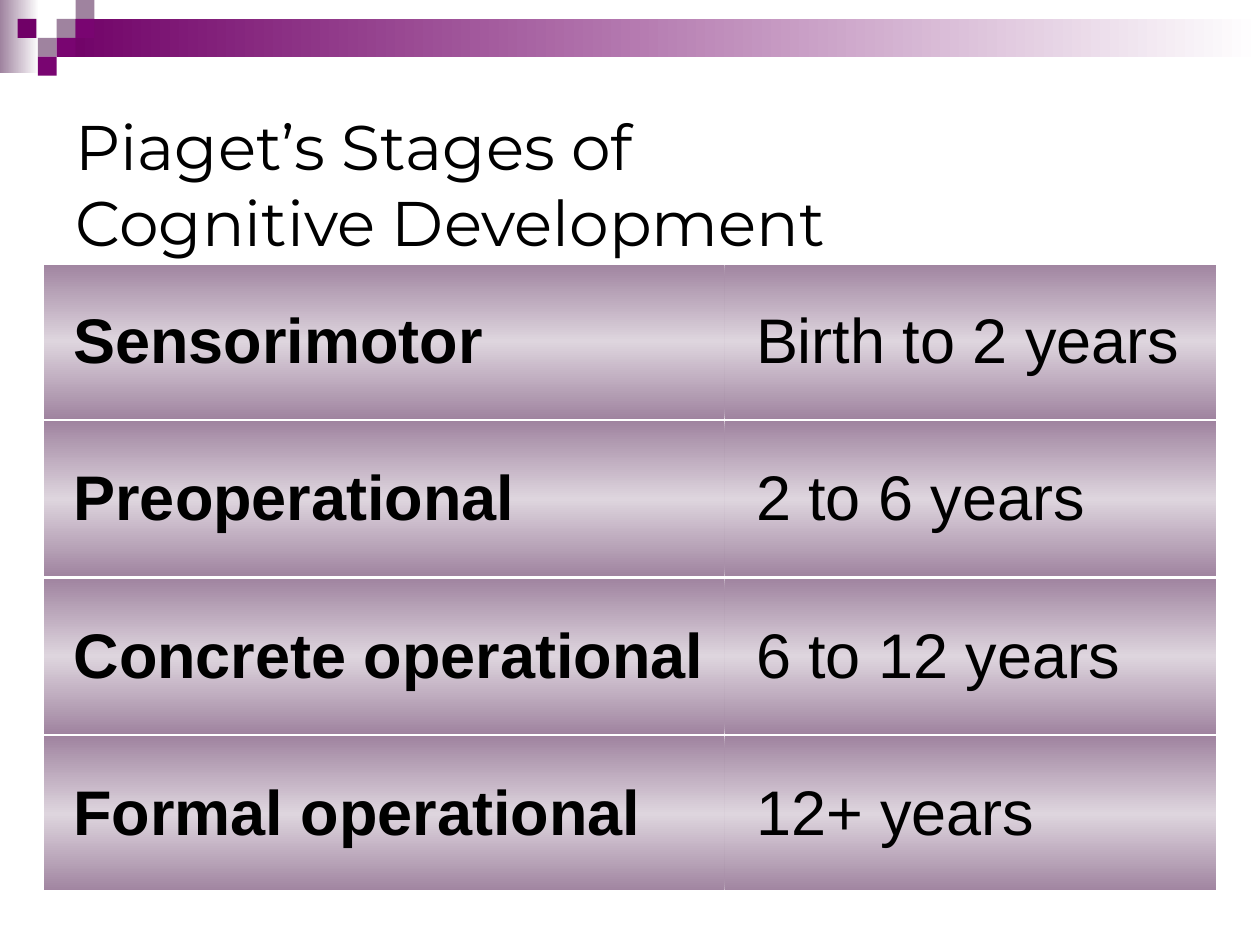
from lxml.etree import SubElement
from pptx import Presentation
from pptx.dml.color import RGBColor
from pptx.enum.shapes import MSO_SHAPE
from pptx.enum.text import MSO_ANCHOR, MSO_AUTO_SIZE, PP_ALIGN
from pptx.oxml.ns import qn
from pptx.util import Pt

TITLE = ["Piaget’s Stages of ", "Cognitive Development"]
STAGES = [
    ("Sensorimotor", "Birth to 2 years"),
    ("Preoperational", "2 to 6 years"),
    ("Concrete operational", "6 to 12 years"),
    ("Formal operational", "12+ years"),
]
THEME = {
    "mauve": "9F839F", "pale": "DED5DE", "plum": "700067", "violet": "790571",
    "white": "FFFFFF", "black": "000000",
    "title_font": "Montserrat", "body_font": "Arial", "size": 36,
    "outer_line": 3, "inner_line": 1.47,
}
BANDS = [
    ((0, 0, 22.3, 41.8), "mauve"),
    ((32.4, 10.8, 687.6, 21.6), "plum"),
]
TILE = 10.8
TILES = [
    (3, 1, "mauve"), (4, 0, "mauve"), (4, 1, "violet"), (2, 2, "mauve"),
    (0.93, 1, "plum"), (3, 2, "violet"), (2, 3, "violet"),
]
TITLE_BOX = (36, 59.8, 648, 90)
TABLE_LEFT, TABLE_TOP = 24, 150
COLUMN_WIDTHS = (390, 282)
ROW_HEIGHT = 90


def points(*lengths):
    return [Pt(length) for length in lengths]


def write(frame, lines, font, bold=False):
    paragraph = frame.paragraphs[0]
    paragraph.alignment = PP_ALIGN.LEFT
    for index, line in enumerate(lines):
        if index:
            paragraph.add_line_break()
        run = paragraph.add_run()
        run.text = line
        run.font.name = font
        run.font.size = Pt(THEME["size"])
        run.font.bold = bold
        run.font.color.rgb = RGBColor.from_string(THEME["black"])


def shade(fill, holder, colours, angle):
    fill.gradient()
    fill.gradient_angle = angle
    stops = holder.find(".//" + qn("a:gsLst"))
    for stop in list(stops):
        stops.remove(stop)
    for index, colour in enumerate(colours):
        position = 100000 * index // (len(colours) - 1)
        stop = SubElement(stops, qn("a:gs"), pos=str(position))
        SubElement(stop, qn("a:srgbClr"), val=THEME[colour])


def add_block(slide, box):
    block = slide.shapes.add_shape(MSO_SHAPE.RECTANGLE, *points(*box))
    block.shadow.inherit = False
    block.line.fill.background()
    return block


def add_border(properties, side, width):
    line = SubElement(properties, qn("a:" + side), w=str(Pt(width)))
    solid = SubElement(line, qn("a:solidFill"))
    SubElement(solid, qn("a:srgbClr"), val=THEME["white"])


def add_stages(slide):
    frame = slide.shapes.add_table(
        len(STAGES), len(COLUMN_WIDTHS),
        *points(TABLE_LEFT, TABLE_TOP, sum(COLUMN_WIDTHS), ROW_HEIGHT * len(STAGES)))
    table = frame.table
    table.first_row = table.horz_banding = False
    style = frame._element.find(".//" + qn("a:tableStyleId"))
    style.text = "{2D5ABB26-0587-4C30-8999-92F81FD0307C}"
    for column, width in zip(table.columns, COLUMN_WIDTHS):
        column.width = Pt(width)
    outer, inner = THEME["outer_line"], THEME["inner_line"]
    for row, stage in enumerate(STAGES):
        table.rows[row].height = Pt(ROW_HEIGHT)
        for column, label in enumerate(stage):
            cell = table.cell(row, column)
            cell.vertical_anchor = MSO_ANCHOR.MIDDLE
            cell.margin_left, cell.margin_right = points(18, 7.2)
            cell.margin_top = cell.margin_bottom = Pt(3.6)
            write(cell.text_frame, [label], THEME["body_font"], bold=column == 0)
            properties = cell._tc.get_or_add_tcPr()
            add_border(properties, "lnR" if column else "lnL", outer)
            add_border(properties, "lnT", inner if row else outer)
            add_border(properties, "lnB", inner if row < len(STAGES) - 1 else outer)
            shade(cell.fill, properties, ["mauve", "pale", "mauve"], 270)


def main():
    deck = Presentation()
    deck.slide_width, deck.slide_height = points(720, 540)
    slide = deck.slides.add_slide(deck.slide_layouts[5])

    for box, colour in BANDS:
        band = add_block(slide, box)
        shade(band.fill, band._element.spPr, [colour, "white"], 0)
    for column, row, colour in TILES:
        tile = add_block(slide, (column * TILE, row * TILE, TILE, TILE))
        tile.fill.solid()
        tile.fill.fore_color.rgb = RGBColor.from_string(THEME[colour])

    title = slide.shapes.title
    title.left, title.top, title.width, title.height = points(*TITLE_BOX)
    title.text_frame.auto_size = MSO_AUTO_SIZE.NONE
    title.text_frame.vertical_anchor = MSO_ANCHOR.MIDDLE
    write(title.text_frame, TITLE, THEME["title_font"])

    add_stages(slide)
    deck.save("out.pptx")


if __name__ == "__main__":
    main()
